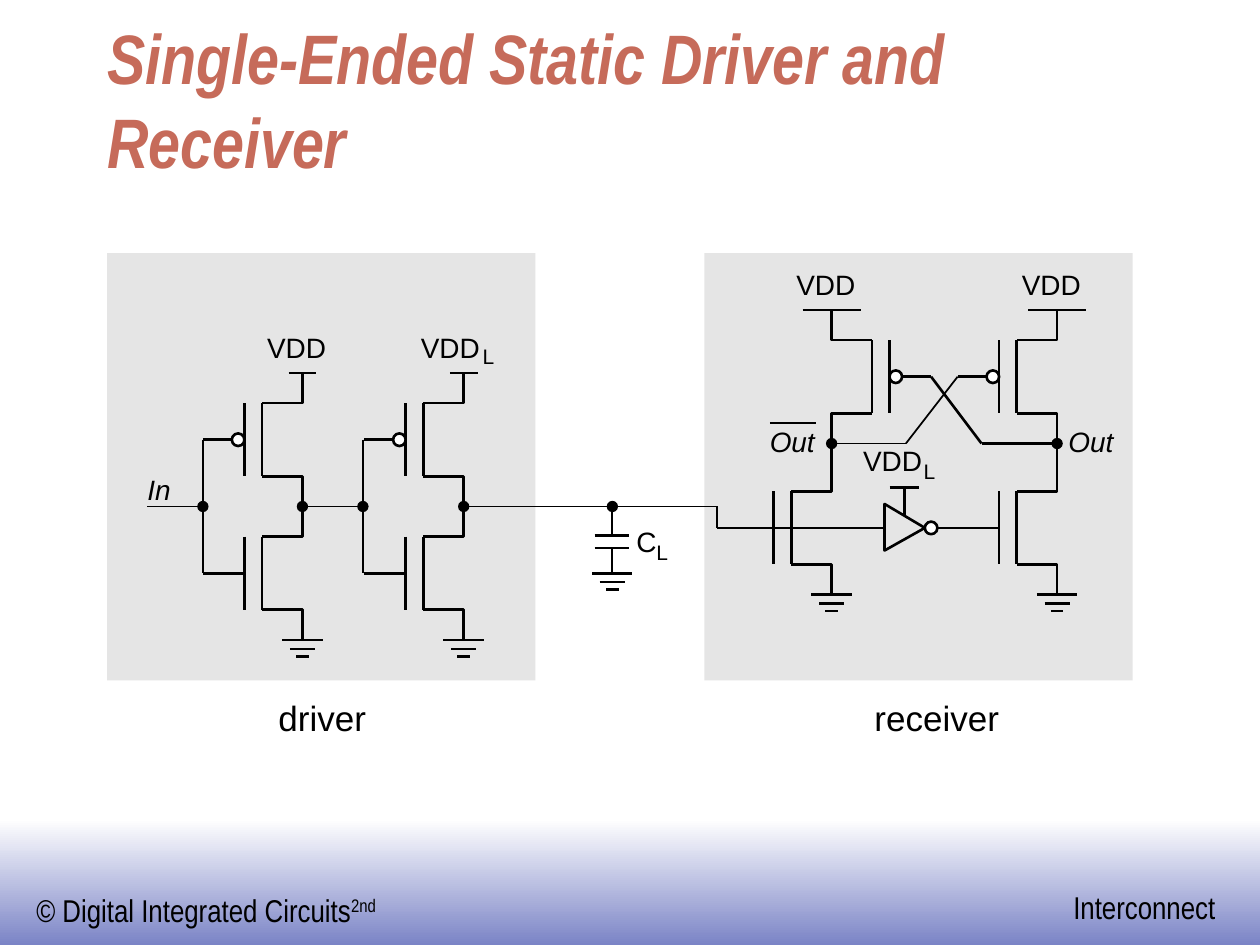
"""Build the single-ended static driver and receiver slide."""
from lxml.etree import SubElement
from pptx import Presentation
from pptx.dml.color import RGBColor
from pptx.enum.shapes import MSO_CONNECTOR, MSO_SHAPE
from pptx.enum.text import MSO_ANCHOR, MSO_AUTO_SIZE, PP_ALIGN
from pptx.oxml.ns import qn
from pptx.util import Inches, Pt

BLACK = RGBColor(0x00, 0x00, 0x00)
WHITE = RGBColor(0xFF, 0xFF, 0xFF)
PANEL_GREY = RGBColor(0xE5, 0xE5, 0xE5)
BAND_BLUE = RGBColor(0x7B, 0x84, 0xC6)
TITLE_RED = RGBColor(0xC6, 0x6B, 0x5A)

THIN, THICK = 1, 1.5
DOT = 0.09
BUBBLE = 0.1
CHANNEL_OFFSET, GATE_OFFSET, GATE_LEAD = 0.32, 0.46, 0.33
CHANNEL_HEIGHT = 0.58
LEAD = 0.24

LABEL = {"name": "Arial", "size": Pt(16)}
SIGNAL = {**LABEL, "italic": True}
SUBSCRIPT = {**LABEL, "size": Pt(12)}
CAPTION = {**LABEL, "size": Pt(20)}
FOOTER = {"name": "Arial Narrow", "size": Pt(18)}
TITLE = {"name": "Arial Narrow", "size": Pt(40), "bold": True, "italic": True}
FLUSH = {"margin_left": 0, "margin_right": 0, "margin_top": 0, "margin_bottom": 0,
         "word_wrap": False, "auto_size": MSO_AUTO_SIZE.SHAPE_TO_FIT_TEXT}
FIXED = {"word_wrap": True, "auto_size": MSO_AUTO_SIZE.NONE}


def apply(target, values):
    """Set each attribute of the target from a dict."""
    for attribute, value in values.items():
        setattr(target, attribute, value)


def add_run(paragraph, wording, font, color=BLACK):
    """Append a formatted run to a paragraph."""
    run = paragraph.add_run()
    run.text = wording
    apply(run.font, font)
    run.font.color.rgb = color
    return run


def add_label(slide, wording, box, font, frame_format=FLUSH):
    """Add a one-line label and return its paragraph."""
    label = slide.shapes.add_textbox(*map(Inches, box))
    apply(label.text_frame, frame_format)
    paragraph = label.text_frame.paragraphs[0]
    add_run(paragraph, wording, font)
    return paragraph


def add_solid(slide, preset, box, fill, outline=None):
    """Add a filled preset shape, outlined in the given width if any."""
    solid = slide.shapes.add_shape(preset, *map(Inches, box))
    solid.shadow.inherit = False
    solid.fill.solid()
    solid.fill.fore_color.rgb = fill
    if outline:
        solid.line.color.rgb = BLACK
        solid.line.width = Pt(outline)
    else:
        solid.line.fill.background()
    return solid


def add_circle(slide, x, y, diameter, fill, outline=None):
    """Add a circle around a centre point."""
    box = (x - diameter / 2, y - diameter / 2, diameter, diameter)
    add_solid(slide, MSO_SHAPE.OVAL, box, fill, outline)


def add_wire(slide, start, end, width=THICK):
    """Add a straight wire between two points."""
    wire = slide.shapes.add_connector(
        MSO_CONNECTOR.STRAIGHT, *map(Inches, (*start, *end)))
    wire.line.color.rgb = BLACK
    wire.line.width = Pt(width)
    SubElement(wire._element.spPr, qn("a:effectLst"))


def add_outline(slide, points, close=False):
    """Add an unfilled outline through the given points."""
    corners = [(Inches(x), Inches(y)) for x, y in points]
    builder = slide.shapes.build_freeform(*corners[0])
    builder.add_line_segments(corners[1:], close=close)
    outline = builder.convert_to_shape()
    outline.shadow.inherit = False
    outline.fill.background()
    outline.line.color.rgb = BLACK
    outline.line.width = Pt(THICK)


def add_ground(slide, x, y):
    """Add a three-bar ground symbol below a point."""
    for drop, half in ((0, 0.16), (0.07, 0.1), (0.13, 0.05)):
        add_wire(slide, (x - half, y + drop), (x + half, y + drop))


def add_supply(slide, x, y, half, label_left, label_top):
    """Add a supply bar with its VDD label."""
    add_wire(slide, (x - half, y), (x + half, y), THIN)
    add_label(slide, "VDD", (label_left, label_top, 0.47, 0.27), LABEL)


def add_transistor(slide, axis, top, side, upper_lead=LEAD, pmos=False):
    """Add a transistor hanging from (axis, top), its gate on the given side."""
    channel, gate = axis + side * CHANNEL_OFFSET, axis + side * GATE_OFFSET
    upper = top + upper_lead
    lower = upper + CHANNEL_HEIGHT
    middle = (upper + lower) / 2
    add_outline(slide, [(axis, top), (axis, upper), (channel, upper)])
    add_outline(slide, [(channel, lower), (axis, lower), (axis, lower + LEAD)])
    for x in (channel, gate):
        add_wire(slide, (x, upper), (x, lower))
    add_wire(slide, (gate + side * GATE_LEAD, middle), (gate, middle))
    if pmos:
        add_circle(slide, gate + side * BUBBLE / 2, middle, BUBBLE, WHITE, THICK)


def add_driver_stage(slide, axis, gate_node, label_left):
    """Add one inverter stage of the driver."""
    add_transistor(slide, axis, 2.96, -1, pmos=True)
    add_transistor(slide, axis, 4.02, -1)
    add_wire(slide, (gate_node, 3.49), (gate_node, 4.55), THIN)
    add_supply(slide, axis, 2.96, 0.11, label_left, 2.62)
    add_ground(slide, axis, 5.08)
    for node in (gate_node, axis):
        add_circle(slide, node, 4.02, DOT, BLACK)


def add_receiver_branch(slide, axis, pmos_side):
    """Add one branch of the cross-coupled receiver."""
    add_transistor(slide, axis, 2.46, pmos_side, pmos=True)
    add_transistor(slide, axis, 3.52, -1, upper_lead=0.38)
    add_supply(slide, axis, 2.46, 0.23, axis - 0.28, 2.12)
    add_ground(slide, axis, 4.72)
    add_circle(slide, axis, 3.52, DOT, BLACK)


def add_load(slide):
    """Add the load capacitor on the interconnect."""
    add_wire(slide, (4.86, 4.02), (4.86, 4.25), THIN)
    add_wire(slide, (4.86, 4.35), (4.86, 4.55), THIN)
    for plate in (4.25, 4.35):
        add_wire(slide, (4.72, plate), (4.99, plate))
    add_ground(slide, 4.86, 4.55)
    add_circle(slide, 4.86, 4.02, DOT, BLACK)
    add_label(slide, "C", (5.05, 4.16, 0.16, 0.27), LABEL)


def add_receiver_inverter(slide):
    """Add the low-supply inverter inside the receiver."""
    add_outline(slide, [(7.02, 4.37), (7.34, 4.19), (7.02, 4)], close=True)
    add_circle(slide, 7.39, 4.19, BUBBLE, WHITE, THICK)
    add_wire(slide, (7.06, 3.87), (7.29, 3.87))
    add_wire(slide, (7.18, 3.87), (7.18, 4.09))
    add_label(slide, "VDD", (6.85, 3.52, 0.47, 0.27), LABEL)


def add_frame(slide):
    """Add the title, the footer band and the footer texts."""
    band = add_solid(slide, MSO_SHAPE.RECTANGLE, (0, 6.5, 10, 1), WHITE)
    band.fill.gradient()
    band.fill.gradient_angle = 270
    for stop, color, position in zip(
            band.fill.gradient_stops, (WHITE, BAND_BLUE), (0, 1)):
        stop.color.rgb = color
        stop.position = position
    book = add_label(slide, "© Digital Integrated Circuits",
                     (0.19, 7.02, 3.2, 0.4), FOOTER, FIXED)
    edition = add_run(book, "2nd", FOOTER)
    edition._r.get_or_add_rPr().set("baseline", "30000")
    add_label(slide, "Interconnect", (8.42, 7, 1.5, 0.4), FOOTER, FIXED)

    title = slide.shapes.title
    apply(title, {"left": Inches(0.75), "top": Inches(0.25),
                  "width": Inches(8.5), "height": Inches(1.25)})
    apply(title.text_frame, {**FIXED, "vertical_anchor": MSO_ANCHOR.BOTTOM})
    heading = title.text_frame.paragraphs[0]
    heading.alignment = PP_ALIGN.LEFT
    add_run(heading, "Single-Ended Static Driver and Receiver", TITLE, TITLE_RED)


def main():
    """Build and save the slide."""
    deck = Presentation()
    deck.slide_width, deck.slide_height = Inches(10), Inches(7.5)
    slide = deck.slides.add_slide(deck.slide_layouts[5])
    add_frame(slide)
    for left in (0.85, 5.59):
        add_solid(slide, MSO_SHAPE.RECTANGLE, (left, 2.01, 3.4, 3.39), PANEL_GREY)
    for axis, gate_node, label_left in ((2.4, 1.61, 2.12), (3.68, 2.88, 3.34)):
        add_driver_stage(slide, axis, gate_node, label_left)
    for axis, pmos_side in ((6.6, 1), (8.39, -1)):
        add_receiver_branch(slide, axis, pmos_side)
    add_load(slide)
    add_receiver_inverter(slide)
    for start, end, width in (
            ((1.17, 4.02), (1.61, 4.02), THIN), ((2.4, 4.02), (2.88, 4.02), THIN),
            ((3.68, 4.02), (5.69, 4.02), THIN), ((5.69, 4.02), (5.69, 4.19), THIN),
            ((5.69, 4.19), (7.02, 4.19), THICK), ((7.44, 4.19), (7.6, 4.19), THICK),
            ((6.6, 3.52), (7.19, 3.52), THIN), ((7.19, 3.52), (7.6, 2.99), THIN),
            ((7.39, 2.99), (7.79, 3.52), THICK), ((7.79, 3.52), (8.39, 3.52), THICK),
            ((6.11, 3.36), (6.48, 3.36), THIN)):
        add_wire(slide, start, end, width)
    for left, top in ((5.21, 4.28), (3.83, 2.73), (7.33, 3.64)):
        add_label(slide, "L", (left, top, 0.09, 0.2), SUBSCRIPT)
    for signal, left, top, width in (
            ("In", 1.17, 3.75, 0.19), ("Out", 6.11, 3.37, 0.36), ("Out", 8.48, 3.37, 0.36)):
        add_label(slide, signal, (left, top, width, 0.27), SIGNAL)
    for block, left, width in (("driver", 2.21, 0.7), ("receiver", 6.94, 0.99)):
        add_label(slide, block, (left, 5.53, width, 0.33), CAPTION)
    deck.save("out.pptx")


if __name__ == "__main__":
    main()
